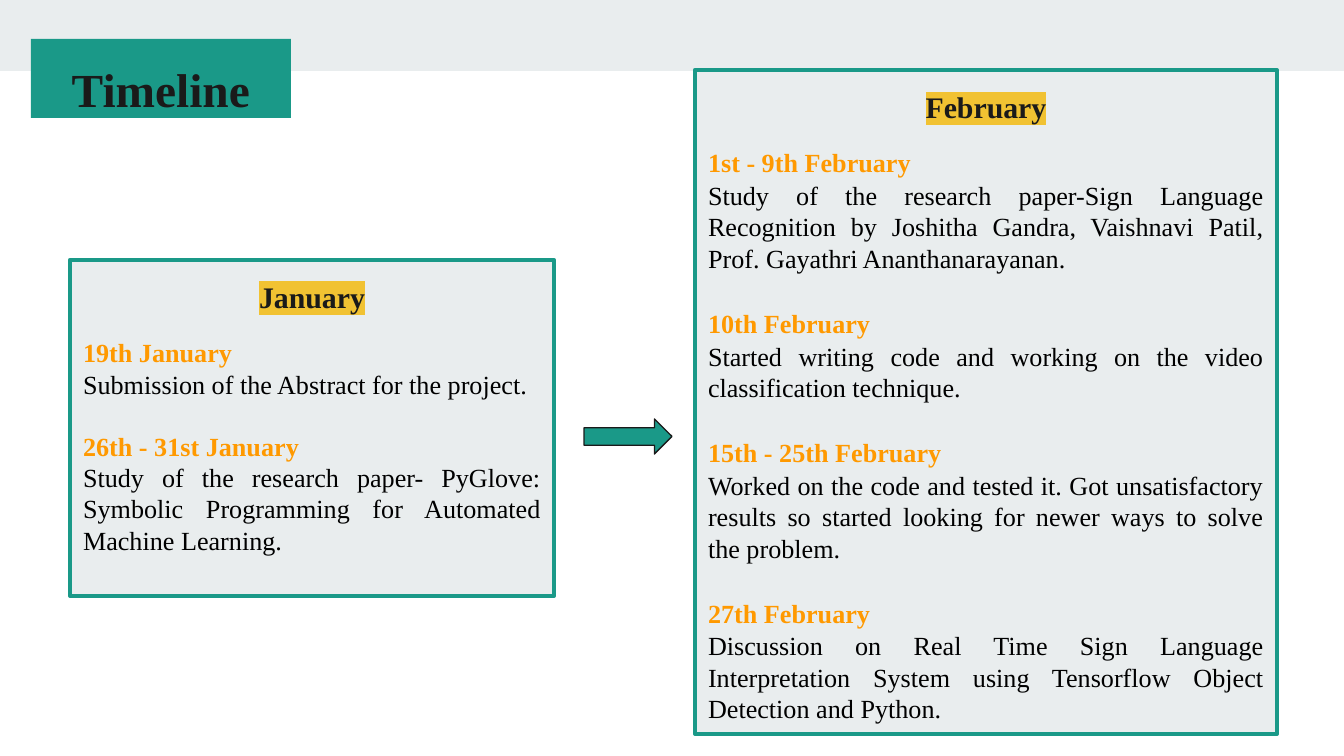
from pptx import Presentation
from pptx.dml.color import RGBColor
from pptx.enum.shapes import MSO_SHAPE as Shape
from pptx.enum.text import MSO_ANCHOR as Anchor, PP_ALIGN as Align
from pptx.oxml import parse_xml
from pptx.oxml.ns import nsdecls
from pptx.util import Pt

EMU_PER_PX = 914400 / 134.4
FONT = "Times New Roman"
TEAL, PALE, DARK = "1A9988", "E9EDEE", "1A1A1A"
ORANGE, YELLOW, BLACK = "FF9900", "F1C232", "000000"

JANUARY = [
    ("19th January", "Submission of the Abstract for the project."),
    ("26th - 31st January",
     "Study of the research paper- PyGlove: Symbolic Programming for "
     "Automated Machine Learning."),
]
FEBRUARY = [
    ("1st - 9th February",
     "Study of the research paper-Sign Language Recognition by Joshitha Gandra, "
     "Vaishnavi Patil, Prof. Gayathri Ananthanarayanan."),
    ("10th February",
     "Started writing code and working on the video classification technique."),
    ("15th - 25th February",
     "Worked on the code and tested it. Got unsatisfactory results so started "
     "looking for newer ways to solve the problem."),
    ("27th February",
     "Discussion on Real Time Sign Language Interpretation System using "
     "Tensorflow Object Detection and Python."),
]


def px(value):
    return round(value * EMU_PER_PX)


def color(value):
    return RGBColor.from_string(value)


def add_block(slide, box, fill, line=None, line_width=0, kind=Shape.RECTANGLE):
    shape = slide.shapes.add_shape(kind, *map(px, box))
    shape.shadow.inherit = False
    shape.fill.solid()
    shape.fill.fore_color.rgb = color(fill)
    if line:
        shape.line.color.rgb = color(line)
        shape.line.width = Pt(line_width)
    else:
        shape.line.fill.background()
    return shape


def prepare_frame(shape):
    frame = shape.text_frame
    frame.word_wrap = True
    frame.vertical_anchor = Anchor.TOP
    frame.margin_left = frame.margin_right = px(13)
    frame.margin_top = frame.margin_bottom = px(13)
    return frame


def write(paragraph, text, size=14, ink=BLACK, bold=False, align=Align.JUSTIFY,
          before=0, spacing=1.0, highlight=None):
    paragraph.alignment = align
    paragraph.space_before = Pt(before)
    paragraph.line_spacing = spacing
    run = paragraph.add_run()
    run.text = text
    font = run.font
    font.size, font.bold, font.name = Pt(size), bold, FONT
    font.color.rgb = color(ink)
    if highlight:
        mark = parse_xml(f'<a:highlight {nsdecls("a")}>'
                         f'<a:srgbClr val="{highlight}"/></a:highlight>')
        run._r.rPr.find("{*}solidFill").addnext(mark)


def add_header(slide, box):
    left, top, width, height = box
    add_block(slide, (left, top, width, 71), PALE)
    title = add_block(slide, (left + 31, top + 39, 260, 79), TEAL)
    write(prepare_frame(title).paragraphs[0], "Timeline", size=25.4, ink=DARK,
          bold=True, align=Align.CENTER, spacing=1.15)


def add_month(slide, box, month, entries, line_gap, entry_gap):
    frame = prepare_frame(add_block(slide, box, PALE, TEAL, 2.25))
    write(frame.paragraphs[0], month, size=16, ink=DARK, bold=True,
          align=Align.CENTER, spacing=1.15, highlight=YELLOW)
    for index, (date, task) in enumerate(entries):
        write(frame.add_paragraph(), date, ink=ORANGE, bold=True,
              before=entry_gap if index else 12)
        write(frame.add_paragraph(), task, before=line_gap)


def add_arrow(slide, box):
    add_block(slide, box, TEAL, DARK, 0.75, Shape.RIGHT_ARROW)


def main():
    presentation = Presentation()
    presentation.slide_width, presentation.slide_height = px(1344), px(756)
    slide = presentation.slides.add_slide(presentation.slide_layouts[6])
    add_header(slide, (0, 0, 1344, 118))
    add_month(slide, (70, 260, 484, 336), "January", JANUARY, 0, 16.5)
    add_month(slide, (695, 70, 582, 664), "February", FEBRUARY, 0.8, 18)
    add_arrow(slide, (584, 419, 88, 35))
    presentation.save("out.pptx")


if __name__ == "__main__":
    main()
